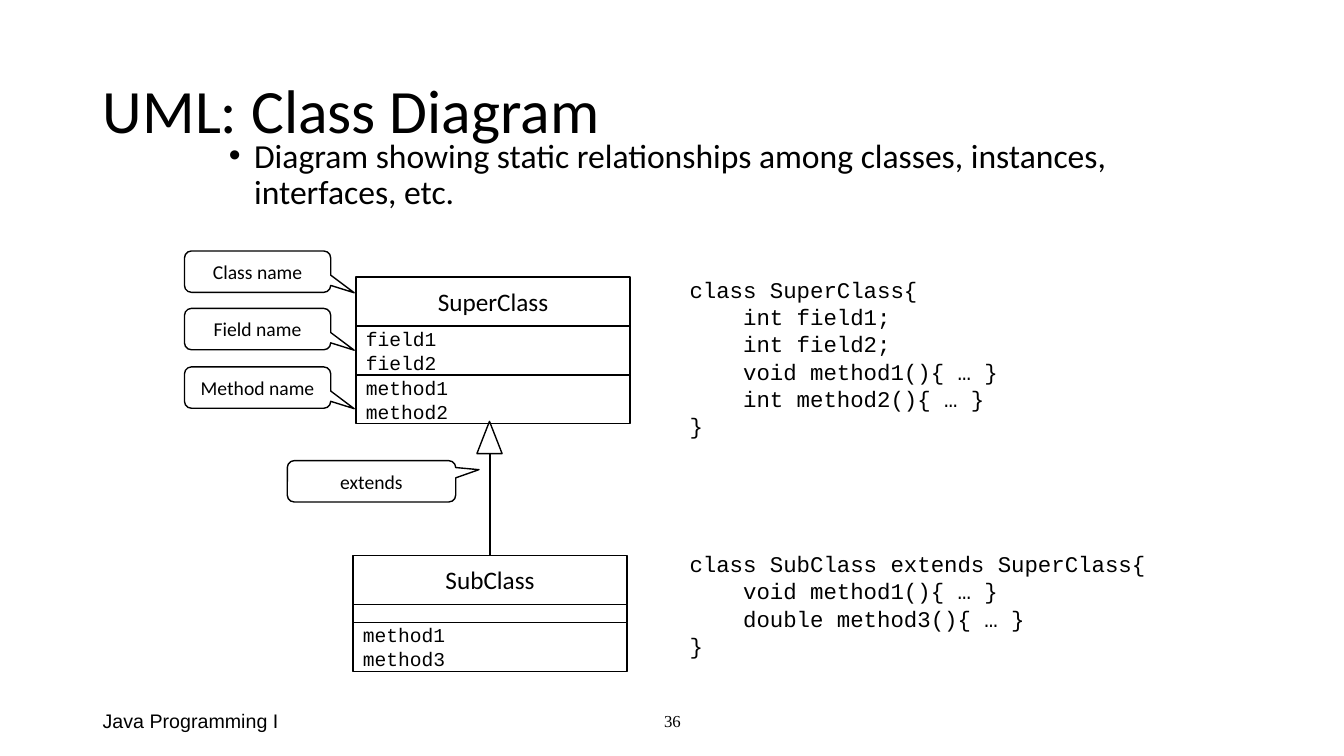
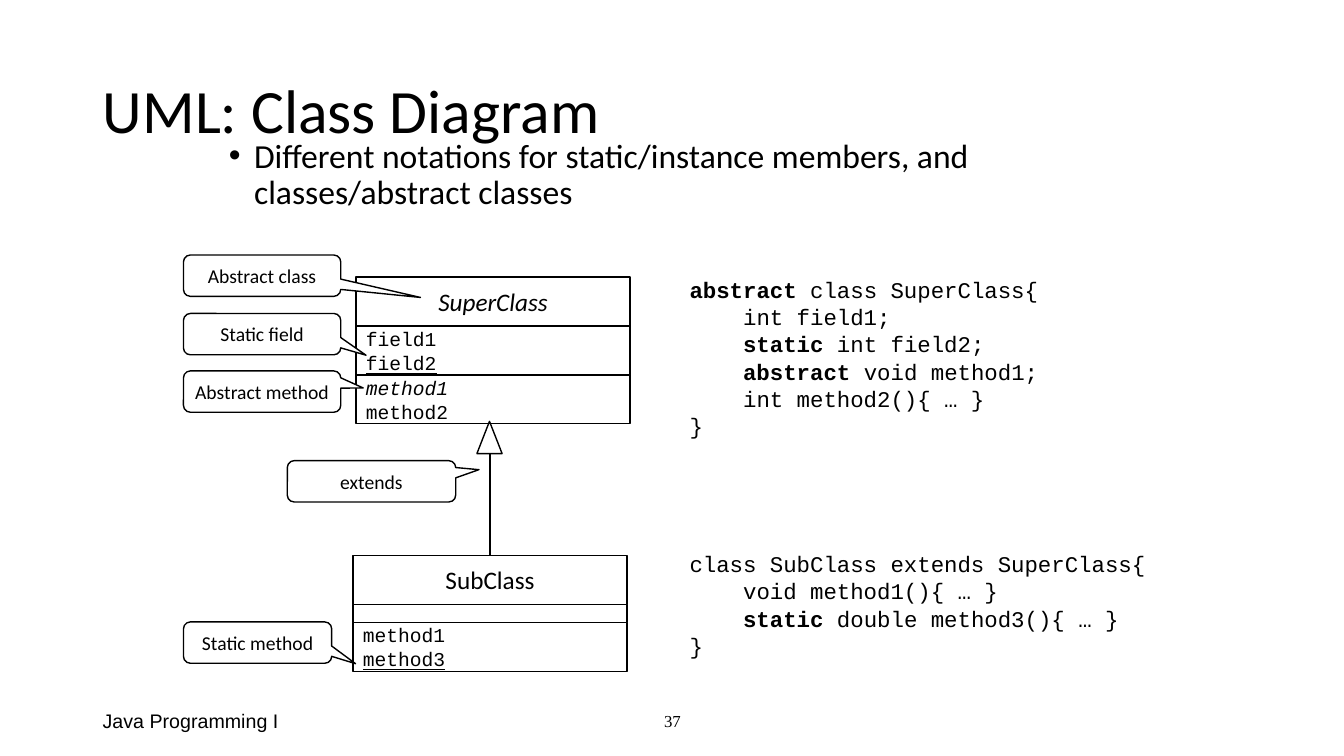
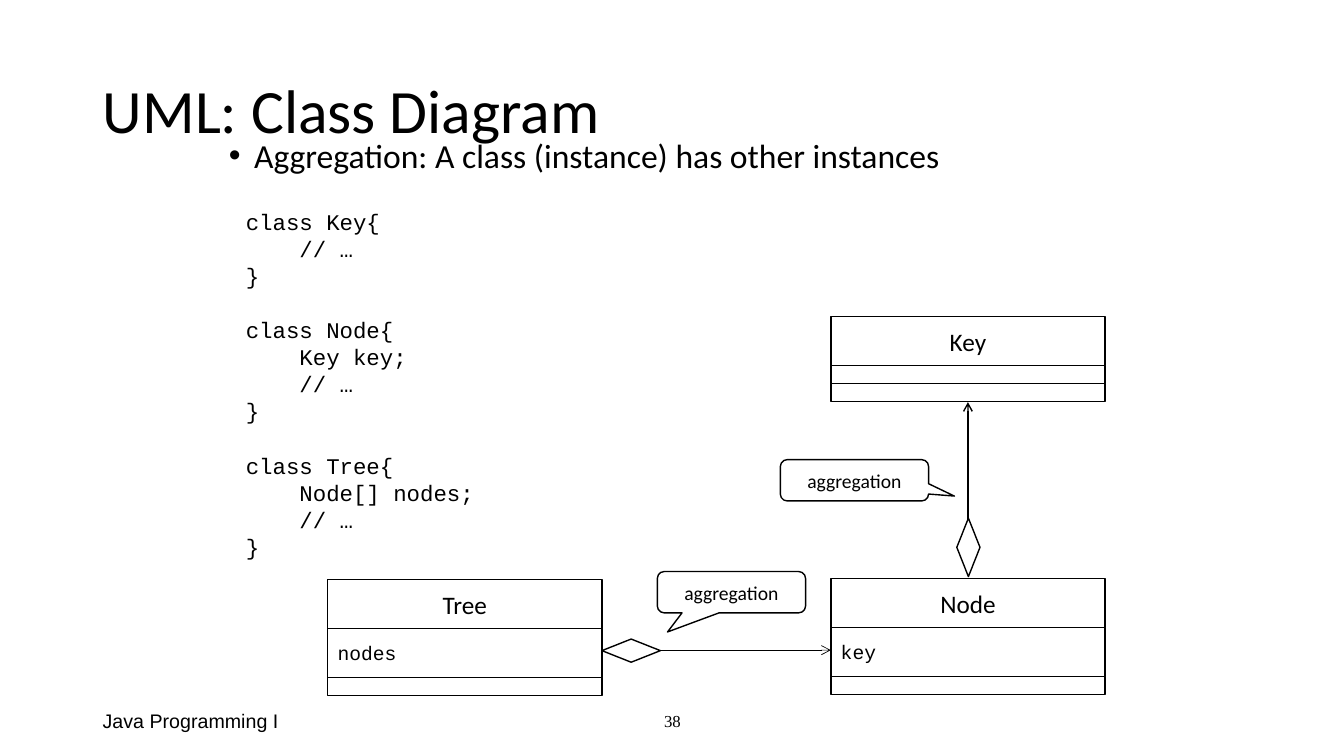
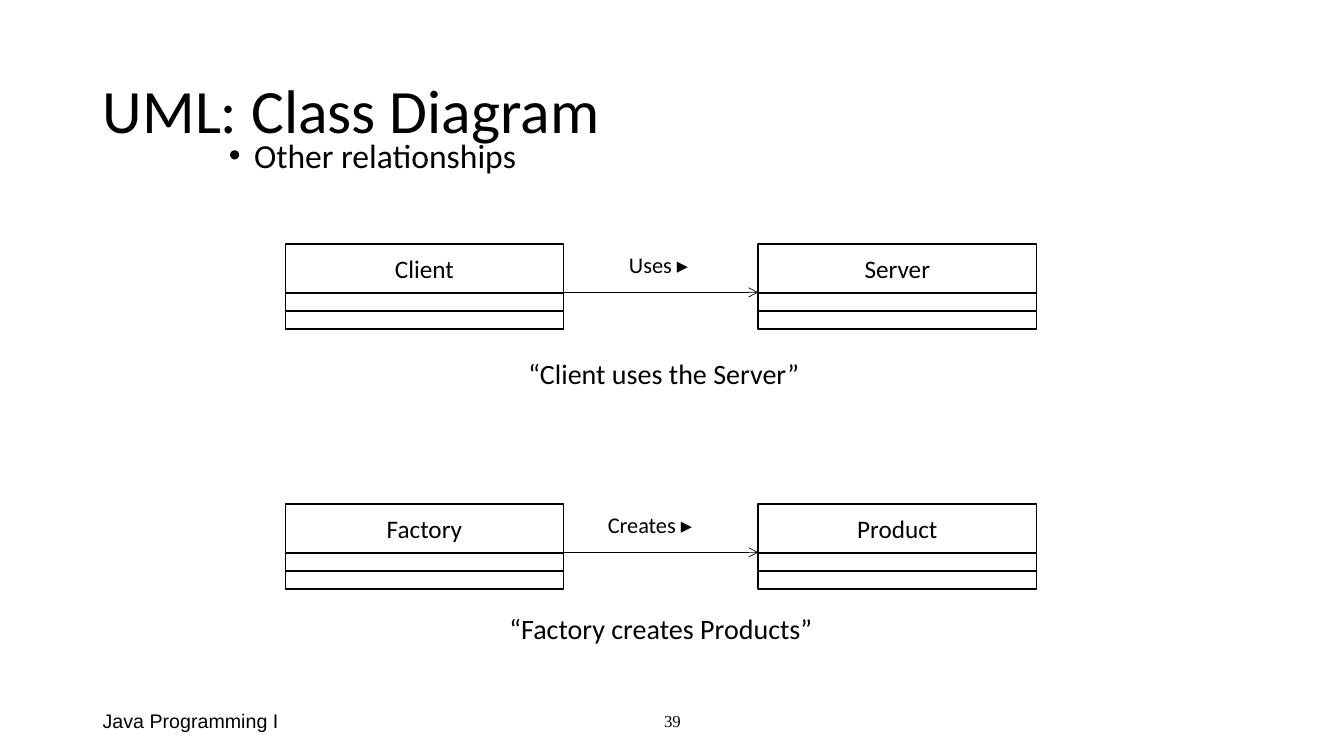
"""Build four slides that introduce UML class diagrams."""
from lxml.etree import SubElement
from pptx import Presentation
from pptx.dml.color import RGBColor
from pptx.enum.shapes import MSO_CONNECTOR, MSO_SHAPE
from pptx.enum.text import MSO_ANCHOR, MSO_AUTO_SIZE, PP_ALIGN
from pptx.oxml.ns import qn
from pptx.util import Inches, Pt

BLACK = RGBColor(0, 0, 0)
WHITE = RGBColor(255, 255, 255)
SANS, MONO = "Calibri", "Courier New"
TITLE = "UML: Class Diagram"
FOOTER = "Java Programming I"
FIRST_NUMBER = 36
TITLE_AT = (0.92, 0.4, 11.5, 1.45)
BODY_AT = (2.17, 1.33, 9, 0.92)
FOOTER_AT = (0.92, 6.95, 3, 0.4)
NUMBER_AT = (4.42, 6.95, 4.5, 0.4)
ROW, EMPTY_ROW = 0.97 / 2, 0.18
CALLOUT_H = 0.41
CORNER = 0.167
MONO_PITCH = 1.21

INHERIT_LINE = (4.86, 4.5, 4.86, 5.51, 1, False)
INHERIT_HEAD = (MSO_SHAPE.ISOSCELES_TRIANGLE, 4.73, 4.18, 0.25, 0.32)
INHERIT_NOTE = ("extends", 2.85, 4.57, 1.67, 0.638, -0.281)
SUPER_AT, SUB_AT = (3.53, 2.75, 2.72), (3.5, 5.51, 2.72)
SUPER_CODE_AT, SUB_CODE_AT = (6.74, 2.69, 4.92, 1.72), (6.74, 5.41, 4.92, 1.18)

SLIDES = [
    {
        "bullet": "Diagram showing static relationships among classes, instances, interfaces, etc.",
        "lines": [INHERIT_LINE],
        "classes": [
            (SUPER_AT, "SuperClass", ["field1", "field2"], ["method1", "method2"]),
            (SUB_AT, "SubClass", [], ["method1", "method3"]),
        ],
        "marks": [INHERIT_HEAD],
        "code": [
            (SUPER_CODE_AT, [[
                "class SuperClass{",
                "    int field1;",
                "    int field2;",
                "    void method1(){ … }",
                "    int method2(){ … }",
                "}",
            ]]),
            (SUB_CODE_AT, [[
                "class SubClass extends SuperClass{",
                "    void method1(){ … }",
                "    double method3(){ … }",
                "}",
            ]]),
        ],
        "callouts": [
            INHERIT_NOTE,
            ("Class name", 1.83, 2.49, 1.45, 0.661, 0.511),
            ("Field name", 1.83, 3.06, 1.45, 0.661, 0.511),
            ("Method name", 1.83, 3.64, 1.45, 0.661, 0.511),
        ],
    },
    {
        "bullet": "Different notations for static/instance members, and classes/abstract classes",
        "lines": [INHERIT_LINE],
        "classes": [
            (SUPER_AT, [("SuperClass", "i")],
             ["field1", [("field2", "u")]], [[("method1", "i")], "method2"]),
            (SUB_AT, "SubClass", [], ["method1", [("method3", "u")]]),
        ],
        "marks": [INHERIT_HEAD],
        "code": [
            (SUPER_CODE_AT, [[
                [("abstract", "b"), (" class SuperClass{", "")],
                "    int field1;",
                [("    ", ""), ("static", "b"), (" int field2;", "")],
                [("    ", ""), ("abstract", "b"), (" void method1;", "")],
                "    int method2(){ … }",
                "}",
            ]]),
            (SUB_CODE_AT, [[
                "class SubClass extends SuperClass{",
                "    void method1(){ … }",
                [("    ", ""), ("static", "b"), (" double method3(){ … }", "")],
                "}",
            ]]),
        ],
        "callouts": [
            INHERIT_NOTE,
            ("Abstract class", 1.82, 2.53, 1.56, 1.007, 0.527),
            ("Static field", 1.82, 3.11, 1.56, 0.661, 0.511),
            ("Abstract method", 1.82, 3.68, 1.56, 0.643, -0.087),
            ("Static method", 1.82, 6.17, 1.47, 0.661, 0.511),
        ],
    },
    {
        "bullet": "Aggregation: A class (instance) has other instances",
        "lines": [(9.6, 5.41, 9.6, 3.99, 1, True), (6.31, 6.45, 8.24, 6.45, 0.5, True)],
        "classes": [
            ((8.24, 3.14, 2.72), "Key", [], []),
            ((8.24, 5.74, 2.72), "Node", ["key"], []),
            ((3.25, 5.75, 2.72), "Tree", ["nodes"], []),
        ],
        "marks": [
            (MSO_SHAPE.DIAMOND, 5.97, 6.34, 0.58, 0.23),
            (MSO_SHAPE.DIAMOND, 9.49, 5.14, 0.23, 0.58),
        ],
        "code": [((2.34, 2.01, 4.92, 3.6), [
            ["class Key{", "    // …", "}"],
            ["class Node{", "    Key key;", "    // …", "}"],
            ["class Tree{", "    Node[] nodes;", "    // …", "}"],
        ])],
        "callouts": [
            ("aggregation", 7.74, 4.56, 1.47, 0.674, 0.382),
            ("aggregation", 6.52, 5.67, 1.47, -0.431, 0.963),
        ],
    },
    {
        "bullet": "Other relationships",
        "lines": [(5.59, y, 7.52, y, 0.5, True) for y in (2.9, 5.48)],
        "classes": [
            ((2.83, 2.42, 2.76), "Client", [], []),
            ((7.52, 2.42, 2.76), "Server", [], []),
            ((2.83, 5, 2.76), "Factory", [], []),
            ((7.52, 5, 2.76), "Product", [], []),
        ],
        "labels": [
            ((6.14, 2.44, 1.06, 0.37), "Uses ▸", 16, PP_ALIGN.LEFT),
            ((5.93, 5.02, 1.26, 0.37), "Creates ▸", 16, PP_ALIGN.LEFT),
            ((3.75, 3.49, 5.67, 0.49), "“Client uses the Server”", 20, PP_ALIGN.CENTER),
            ((3.72, 6.02, 5.67, 0.49), "“Factory creates Products”", 20, PP_ALIGN.CENTER),
        ],
    },
]


def box(at):
    return [Inches(v) for v in at]


def write(sp, lines, size=14, font=SANS, align=PP_ALIGN.LEFT, anchor=MSO_ANCHOR.MIDDLE,
          spacing=None, before=0, wrap=True):
    """Fill a shape with lines; a line is a string or a list of (text, style) runs."""
    tf = sp.text_frame
    tf.word_wrap = wrap
    tf.auto_size = MSO_AUTO_SIZE.NONE
    tf.vertical_anchor = anchor
    for i, line in enumerate(lines):
        p = tf.paragraphs[0] if i == 0 else tf.add_paragraph()
        p.alignment = align
        p.space_before = Pt(before)
        if spacing:
            p.line_spacing = spacing
        for text, style in [(line, "")] if isinstance(line, str) else line:
            r = p.add_run()
            r.text = text
            r.font.size, r.font.name = Pt(size), font
            r.font.color.rgb = BLACK
            r.font.bold, r.font.italic, r.font.underline = (k in style for k in "biu")
    return tf


def add_text(s, at, lines, **fmt):
    return write(s.shapes.add_textbox(*box(at)), lines, **fmt)


def add_outlined(s, kind, *at):
    sp = s.shapes.add_shape(kind, *box(at))
    sp.shadow.inherit = False
    sp.fill.solid()
    sp.fill.fore_color.rgb = WHITE
    sp.line.color.rgb = BLACK
    sp.line.width = Pt(1)
    return sp


def add_line(s, x1, y1, x2, y2, width, arrow):
    cxn = s.shapes.add_connector(MSO_CONNECTOR.STRAIGHT, *box((x1, y1, x2, y2)))
    cxn.line.color.rgb = BLACK
    cxn.line.width = Pt(width)
    props = cxn.element.spPr
    if arrow:
        SubElement(props.find(qn("a:ln")), qn("a:tailEnd"), type="arrow")
    SubElement(props, qn("a:effectLst"))


def add_class(s, at, name, fields, methods):
    x, y, w = at
    head = add_outlined(s, MSO_SHAPE.RECTANGLE, x, y, w, ROW)
    write(head, [name], size=18, align=PP_ALIGN.CENTER)
    y += ROW
    for members in (fields, methods):
        h = ROW if members else EMPTY_ROW
        sp = add_outlined(s, MSO_SHAPE.RECTANGLE, x, y, w, h)
        if members:
            write(sp, members, font=MONO, spacing=Pt(14 * MONO_PITCH))
        y += h


def add_code(s, at, blocks):
    pitch = Pt(16 * MONO_PITCH)
    tf = add_text(s, at, sum(blocks, []), size=16, font=MONO,
                  anchor=MSO_ANCHOR.TOP, spacing=pitch)
    start = 0
    for block in blocks[:-1]:
        start += len(block)
        tf.paragraphs[start].space_before = pitch


def add_callout(s, text, x, y, w, tip_x, tip_y):
    sp = add_outlined(s, MSO_SHAPE.ROUNDED_RECTANGULAR_CALLOUT, x, y, w, CALLOUT_H)
    for i, value in enumerate((tip_x, tip_y, CORNER)):
        sp.adjustments[i] = value
    tf = write(sp, [text], align=PP_ALIGN.CENTER)
    tf.margin_left = tf.margin_right = Inches(0.04)


def add_base(prs, layout, number, bullet):
    s = prs.slides.add_slide(layout)
    write(s.shapes.title, [TITLE], size=44, spacing=0.9)
    tf = write(s.placeholders[1], [bullet], size=24, anchor=MSO_ANCHOR.TOP,
               spacing=0.9, before=10)
    props = tf.paragraphs[0]._p.get_or_add_pPr()
    props.set("marL", str(Inches(0.25)))
    props.set("indent", str(-Inches(0.25)))
    add_text(s, FOOTER_AT, [FOOTER], font="Arial")
    add_text(s, NUMBER_AT, [str(number)], size=12, font="Times New Roman",
             align=PP_ALIGN.CENTER)
    return s


def main():
    prs = Presentation()
    prs.slide_width, prs.slide_height = Inches(13.33), Inches(7.5)
    layout = prs.slide_layouts[1]
    for ph, at in zip(layout.placeholders, (TITLE_AT, BODY_AT)):
        ph.left, ph.top, ph.width, ph.height = box(at)
    for number, content in enumerate(SLIDES, FIRST_NUMBER):
        s = add_base(prs, layout, number, content["bullet"])
        for key, draw in (("lines", add_line), ("classes", add_class),
                          ("marks", add_outlined), ("code", add_code),
                          ("callouts", add_callout)):
            for item in content.get(key, []):
                draw(s, *item)
        for at, text, size, align in content.get("labels", []):
            add_text(s, at, [text], size=size, align=align, anchor=MSO_ANCHOR.TOP,
                     wrap=align == PP_ALIGN.CENTER)
    prs.save("out.pptx")


if __name__ == "__main__":
    main()
